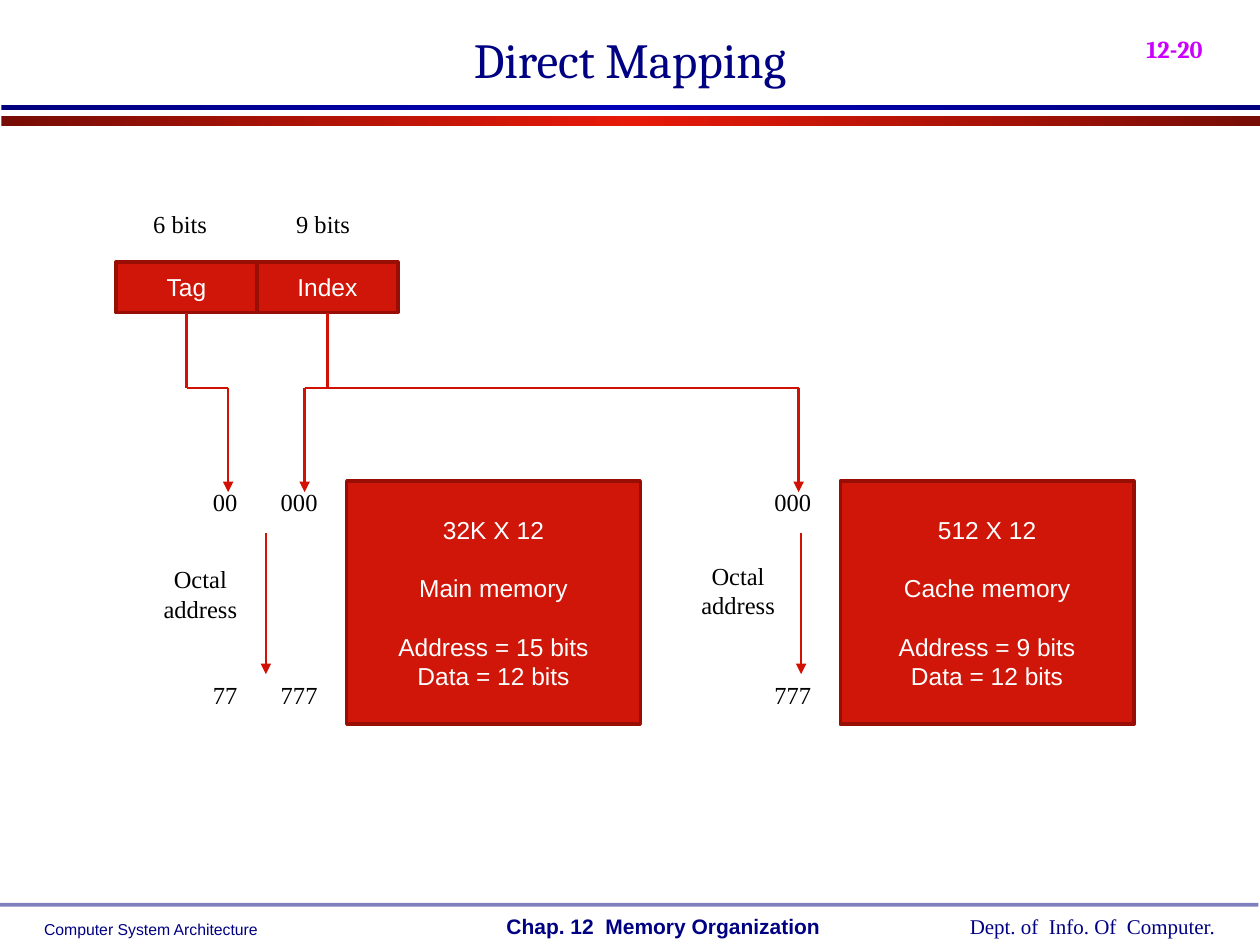
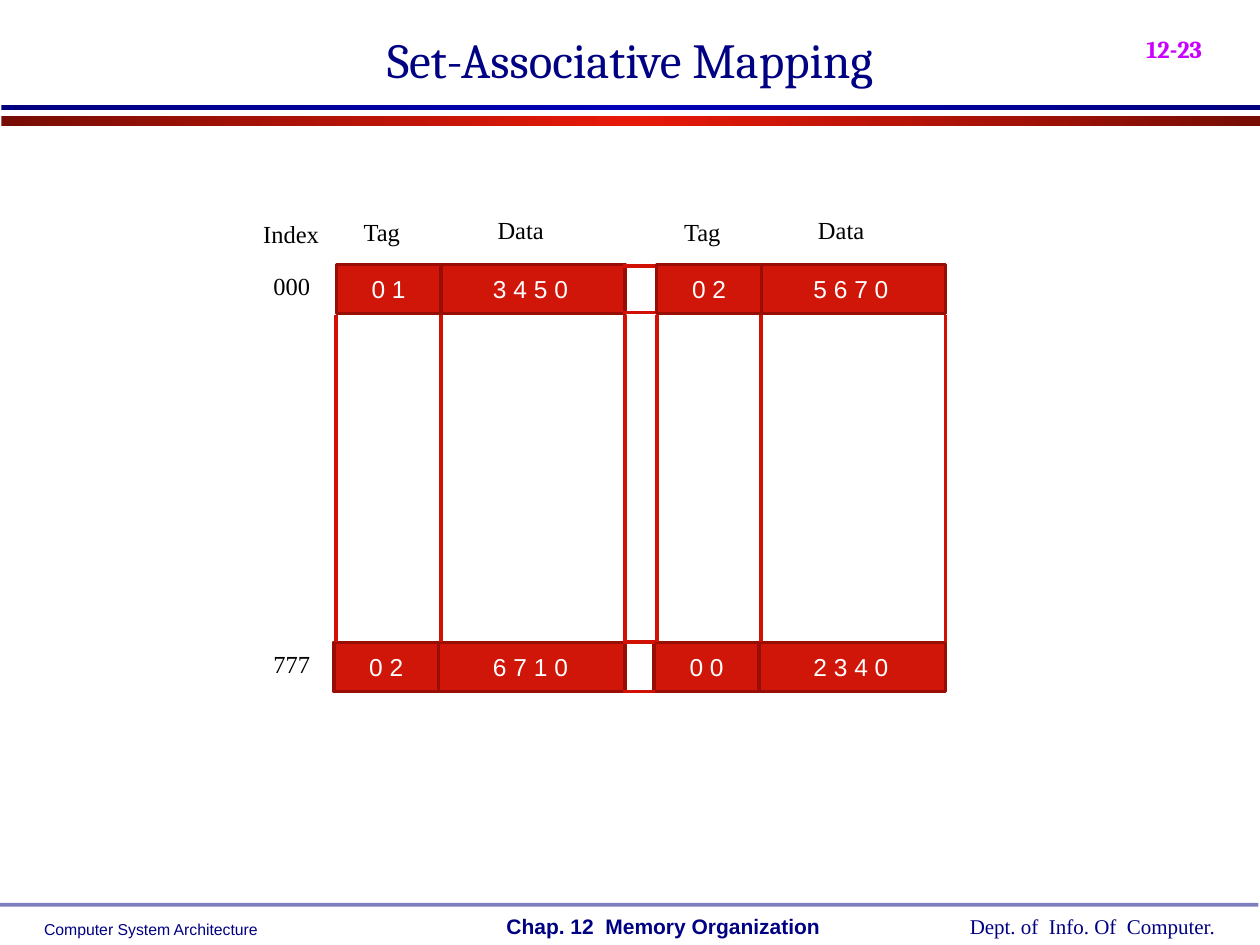
from copy import deepcopy

from lxml.etree import SubElement
from pptx import Presentation
from pptx.dml.color import RGBColor
from pptx.enum.shapes import MSO_CONNECTOR, MSO_SHAPE
from pptx.enum.text import MSO_ANCHOR, MSO_AUTO_SIZE, PP_ALIGN
from pptx.oxml.ns import qn
from pptx.util import Cm, Pt

NAVY = RGBColor(0x00, 0x00, 0x82)
BAND_NAVY = RGBColor(0x00, 0x00, 0x7F)
BAND_BLUE = RGBColor(0x00, 0x00, 0xB6)
BAND_MAROON = RGBColor(0x77, 0x0D, 0x05)
BAND_RED = RGBColor(0xE7, 0x19, 0x09)
MAGENTA = RGBColor(0xCC, 0x00, 0xFF)
BOX_RED = RGBColor(0xD0, 0x16, 0x08)
BOX_EDGE = RGBColor(0x98, 0x0D, 0x04)
LINE_RED = RGBColor(0xD0, 0x11, 0x03)
WHITE = RGBColor(0xFF, 0xFF, 0xFF)
BLACK = RGBColor(0x00, 0x00, 0x00)

SANS = "Arial"
SERIF = "Times New Roman"
HEADING = "Cambria"

FOOTERS = [
    ("Computer System Architecture", 0.64, 18.42, 4.83, 9, SANS, False),
    ("Dept. of  Info. Of  Computer.", 19.3, 18.29, 5.49, 12, SERIF, False),
    ("Chap. 12  Memory Organization", 9.96, 18.29, 6.83, 12, SANS, True),
]


def write_text(text_frame, text, size, font_name, color, align=PP_ALIGN.LEFT, bold=False):
    text_frame.text = text
    for paragraph in text_frame.paragraphs:
        paragraph.alignment = align
        for run in paragraph.runs:
            run.font.size = Pt(size)
            run.font.name = font_name
            run.font.bold = bold
            run.font.color.rgb = color


def add_label(slide, text, left, top, width, height=0.86, size=14, font_name=SERIF,
              color=BLACK, align=PP_ALIGN.LEFT, bold=False, wrap=True):
    box = slide.shapes.add_textbox(Cm(left), Cm(top), Cm(width), Cm(height))
    box.text_frame.word_wrap = wrap
    write_text(box.text_frame, text, size, font_name, color, align, bold)
    return box


def add_rectangle(slide, left, top, width, height):
    shape = slide.shapes.add_shape(
        MSO_SHAPE.RECTANGLE, Cm(left), Cm(top), Cm(width), Cm(height))
    shape.shadow.inherit = False
    return shape


def add_box(slide, text, left, top, width, height):
    box = add_rectangle(slide, left, top, width, height)
    box.fill.solid()
    box.fill.fore_color.rgb = BOX_RED
    box.line.color.rgb = BOX_EDGE
    box.line.width = Pt(2)
    box.text_frame.vertical_anchor = MSO_ANCHOR.MIDDLE
    write_text(box.text_frame, text, 14, SANS, WHITE, PP_ALIGN.CENTER)
    return box


def add_line(slide, start_x, start_y, end_x, end_y, width=1.5, arrow=False):
    line = slide.shapes.add_connector(
        MSO_CONNECTOR.STRAIGHT, Cm(start_x), Cm(start_y), Cm(end_x), Cm(end_y))
    line.line.color.rgb = LINE_RED
    line.line.width = Pt(width)
    properties = line._element.spPr
    if arrow:
        SubElement(properties.find(qn("a:ln")), qn("a:tailEnd"), type="triangle")
    SubElement(properties, qn("a:effectLst"))
    return line


def add_gradient_band(slide, top, height, edge_color, middle_color):
    band = add_rectangle(slide, 0.03, top, 25.37, height)
    band.line.fill.background()
    band.fill.gradient()
    band.fill.gradient_angle = 0
    stop_list = band._element.spPr.find(".//" + qn("a:gsLst"))
    stop_list.append(deepcopy(stop_list[0]))
    colors = (edge_color, middle_color, edge_color)
    for stop, color, position in zip(band.fill.gradient_stops, colors, (0, 0.5, 1)):
        stop.color.rgb = color
        stop.position = position


def add_footer_rule(slide):
    rule = add_rectangle(slide, 0, 18.2, 25.37, 0.08)
    rule.line.fill.background()
    rule.fill.solid()
    rule.fill.fore_color.rgb = NAVY
    color = rule._element.spPr.find(".//" + qn("a:srgbClr"))
    SubElement(color, qn("a:alpha"), val="50000")


def add_page_number(slide, number):
    box = add_label(slide, number, 22.86, 0, 2.74, 1.42, 24, HEADING, MAGENTA, bold=True)
    paragraph = box.text_frame.paragraphs[0]
    paragraph.space_before = Pt(15)
    paragraph.runs[0]._r.get_or_add_rPr().set("baseline", "-25000")


def add_titled_slide(presentation, title, number):
    slide = presentation.slides.add_slide(presentation.slide_layouts[5])
    add_gradient_band(slide, 2.34, 0.2, BAND_MAROON, BAND_RED)
    add_gradient_band(slide, 2.11, 0.1, BAND_NAVY, BAND_BLUE)
    for text, left, top, width, size, font_name, bold in FOOTERS:
        add_label(slide, text, left, top, width, 0.7, size, font_name, NAVY,
                  bold=bold, wrap=False)
    add_footer_rule(slide)
    add_page_number(slide, number)

    heading = slide.shapes.title
    heading.left, heading.top = Cm(1.9), Cm(0)
    heading.width, heading.height = Cm(21.6), Cm(1.9)
    heading.text_frame.auto_size = MSO_AUTO_SIZE.NONE
    heading.text_frame.vertical_anchor = MSO_ANCHOR.BOTTOM
    write_text(heading.text_frame, title, 28, HEADING, NAVY, PP_ALIGN.CENTER)
    return slide


def add_memory(slide, left, lines, range_x, octal_left, octal_top):
    box = add_box(slide, "\n".join(lines), left, 9.7, 5.92, 4.9)
    for paragraph in box.text_frame.paragraphs[1:3]:
        paragraph.space_before = Pt(16.5)
    add_address_range(slide, left - 1.58, "000", "777")
    add_line(slide, range_x, 10.74, range_x, 13.59, arrow=True)
    add_label(slide, "Octal\naddress", octal_left, octal_top, 2.54, 1.45,
              align=PP_ALIGN.CENTER)
    return box


def add_address_range(slide, left, first, last):
    add_label(slide, first, left, 9.7, 1.57)
    add_label(slide, last, left, 13.59, 1.57)


def add_address_field(slide, name, bits, left, bits_left, bus_y):
    width, top, height = 2.84, 5.28, 1.02
    field = add_box(slide, name, left, top, width, height)
    add_label(slide, bits, bits_left, 4.09, 1.93)
    center = left + width / 2
    stem = add_line(slide, center, top + height, center, bus_y)
    stem.begin_connect(field, 2)
    return center


def build_direct_mapping(presentation):
    slide = add_titled_slide(presentation, "Direct Mapping", "12-20")
    add_memory(slide, 6.99, ["32K X 12", "Main memory", "Address = 15 bits",
                             "Data = 12 bits"], 5.36, 2.77, 11.25)
    add_memory(slide, 16.94, ["512 X 12", "Cache memory", "Address = 9 bits",
                              "Data = 12 bits"], 16.15, 13.61, 11.18)
    add_address_range(slide, 4.04, "00", "77")

    bus_y, tag_drop, main_drop, cache_drop = 7.82, 4.6, 6.14, 16.1
    tag_center = add_address_field(slide, "Tag", "6 bits", 2.34, 2.84, bus_y)
    add_address_field(slide, "Index", "9 bits", 5.18, 5.72, bus_y)
    add_line(slide, tag_center, bus_y, tag_drop, bus_y)
    add_line(slide, main_drop, bus_y, cache_drop, bus_y)
    for drop in (tag_drop, main_drop, cache_drop):
        add_line(slide, drop, bus_y, drop, 9.92, arrow=True)


def add_cache_way(slide, left, rows):
    for top, tag_shift, tag, data in rows:
        add_box(slide, data, left + 2.01, top, 3.81, 0.99)
        add_box(slide, tag, left + tag_shift, top, 2.11, 0.99)
    for offset in (0, 2.11, 5.82):
        add_line(slide, left + offset, 6.35, left + offset, 12.95, 2.25)
    add_label(slide, "Tag", left + 0.3, 4.25, 1.5)
    add_label(slide, "Data", left + 3, 4.22, 1.83)


def build_set_associative_mapping(presentation):
    slide = add_titled_slide(presentation, "Set-Associative Mapping", "12-23")
    first_top, last_top, way_left, way_pitch = 5.33, 12.95, 6.78, 6.46
    ways = [(("0 1", "3 4 5 0"), ("0 2", "6 7 1 0")),
            (("0 2", "5 6 7 0"), ("0 0", "2 3 4 0"))]
    for position, (first, last) in enumerate(ways):
        add_cache_way(slide, way_left + position * way_pitch,
                      [(first_top, 0, *first), (last_top, -0.05, *last)])

    add_label(slide, "Index", 4.42, 4.29, 2.9, align=PP_ALIGN.CENTER)
    for index, top in (("000", first_top), ("777", last_top)):
        add_label(slide, index, 5.26, top, 1.52)
    for gap_y in (5.36, 6.3, 12.95, 13.94):
        add_line(slide, 12.55, gap_y, 13.21, gap_y, 2.25)


def main():
    presentation = Presentation()
    presentation.slide_width = Cm(25.4)
    presentation.slide_height = Cm(19.05)
    build_direct_mapping(presentation)
    build_set_associative_mapping(presentation)
    presentation.save("out.pptx")


if __name__ == "__main__":
    main()
